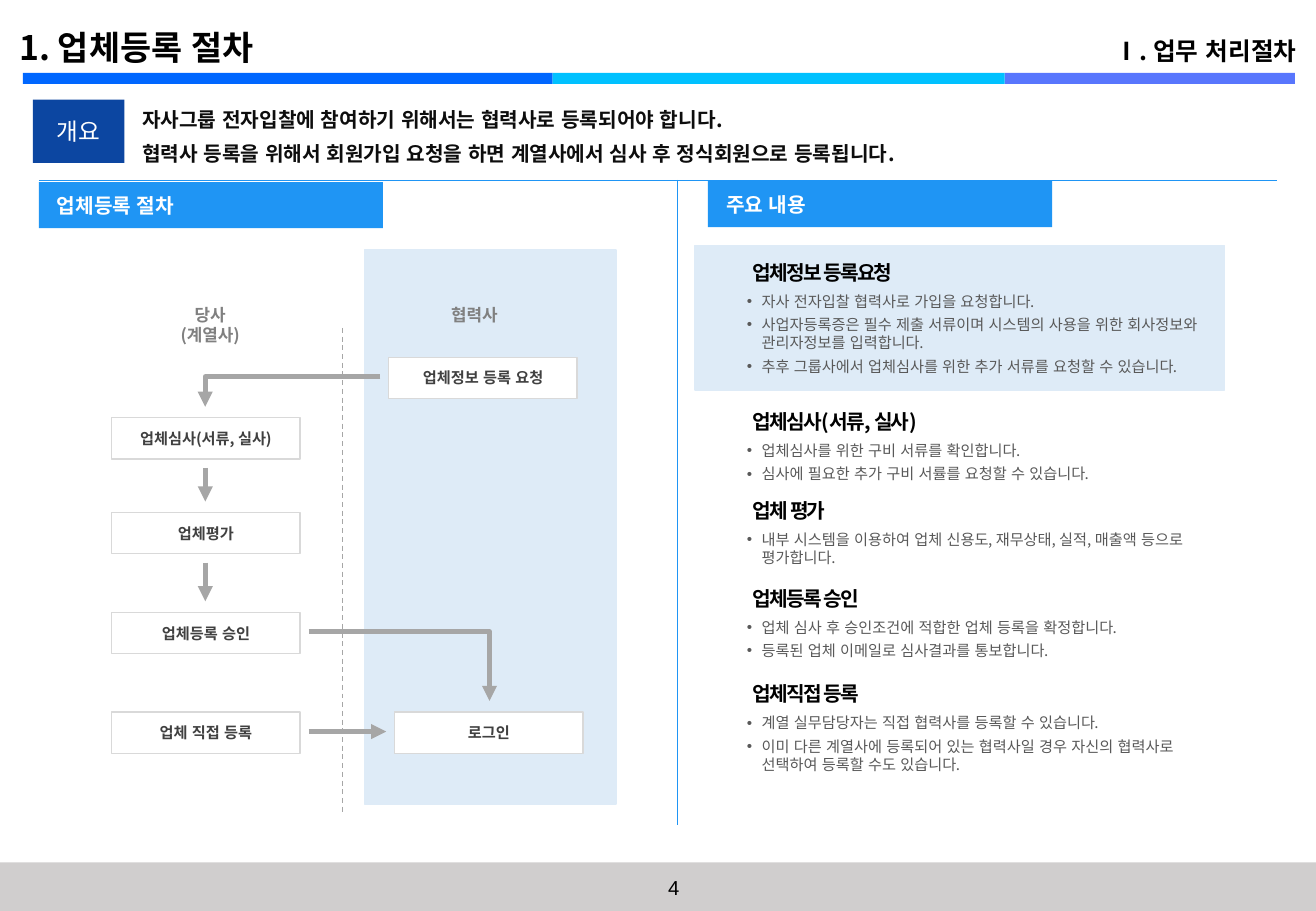
"""Build the supplier registration procedure slide."""
from lxml.etree import SubElement as Sub
from pptx import Presentation
from pptx.dml.color import RGBColor as RGB
from pptx.enum.dml import MSO_LINE
from pptx.enum.shapes import MSO_CONNECTOR as LINK, MSO_SHAPE
from pptx.enum.text import MSO_ANCHOR as ANC, MSO_AUTO_SIZE as AUTO, PP_ALIGN as AL
from pptx.oxml.ns import qn
from pptx.util import Inches, Pt

BLACK, WHITE = RGB(0, 0, 0), RGB(255, 255, 255)
INK, TEXT, BODY = RGB(0x0D, 0x0D, 0x0D), RGB(0x40, 0x40, 0x40), RGB(0x59, 0x59, 0x59)
LABEL, ARROW, EDGE = RGB(0x80, 0x80, 0x80), RGB(0xA6, 0xA6, 0xA6), RGB(0xD9, 0xD9, 0xD9)
FOOT, PANEL, NAVY = RGB(0xD0, 0xCE, 0xCE), RGB(0xDE, 0xEB, 0xF7), RGB(0x0C, 0x46, 0xA1)
TAB, RULE = RGB(0x1F, 0x95, 0xF4), RGB(0x1F, 0x95, 0xF5)
BLUE, CYAN, VIOLET = RGB(0, 0x67, 0xFF), RGB(0, 0xC1, 0xFF), RGB(0x58, 0x76, 0xFD)
SANS = "Noto Sans CJK KR"

deck = Presentation()
deck.slide_width, deck.slide_height = Inches(10.83), Inches(7.5)
COL, ROW = deck.slide_width / 100, deck.slide_height / 100
slide = deck.slides.add_slide(deck.slide_layouts[2])
shapes = slide.shapes


def box(x, y, w, h, fill=None, edge=None, wide=0.75):
    """Add a filled rectangle, or a text box when there is no fill."""
    spot = [int(v) for v in (x * COL, y * ROW, w * COL, h * ROW)]
    if fill is None:
        return shapes.add_textbox(*spot)
    shape = shapes.add_shape(MSO_SHAPE.RECTANGLE, *spot)
    shape.shadow.inherit = False
    shape.fill.solid()
    shape.fill.fore_color.rgb = fill
    if edge is None:
        shape.line.fill.background()
    else:
        shape.line.color.rgb = edge
        shape.line.width = Pt(wide)
    return shape


def write(shape, lines, size, color, bold=True, align=AL.LEFT, anchor=ANC.TOP,
          face=SANS, bullet=False, track=0):
    """Fill a shape with one run per paragraph and return its frame."""
    frame = shape.text_frame
    frame.word_wrap, frame.auto_size = True, AUTO.NONE
    frame.vertical_anchor = anchor
    for i, line in enumerate(lines):
        para = frame.add_paragraph() if i else frame.paragraphs[0]
        para.alignment = align
        para.space_before = Pt(3 if bullet and i else 0)
        if bullet:
            prop = para._p.get_or_add_pPr()
            prop.set("marL", str(Inches(0.19)))
            prop.set("indent", str(Inches(-0.12)))
            Sub(prop, qn("a:buFont"), typeface="Arial")
            Sub(prop, qn("a:buChar"), char="•")
        run = para.add_run()
        run.text = line
        font = run.font
        font.size, font.bold, font.name = Pt(size), bold, face
        font.color.rgb = color
        prop = run._r.get_or_add_rPr()
        prop.set("lang", "ko-KR")
        Sub(prop, qn("a:ea"), typeface=face)
        if track:
            prop.set("spc", str(track))
    return frame


for x, w, hue in ((1.75, 40.25, BLUE), (76.35, 22.05, VIOLET), (42, 34.35, CYAN)):
    box(x, 8, w, 1.2, hue)
box(0, 94.65, 100, 5.35, FOOT)
write(box(42.3, 95.45, 17.8, 4), ["4"], 12, BLACK, False, AL.CENTER, face="Arial")
box(52.8, 26.95, 40.25, 15.85, PANEL, PANEL, 1)
box(27.7, 27.45, 19.1, 60.8, PANEL, PANEL, 1)

heads = (
    (shapes.title, (0.55, 0, 67.95, 8), "1. 업체등록 절차", 20, AL.LEFT, ANC.MIDDLE, 1.5),
    (slide.placeholders[1], (74.05, 1.6, 25.4, 6.25), "Ⅰ. 업무 처리절차", 14.6,
     AL.RIGHT, ANC.BOTTOM, 0.9),
)
for hold, (x, y, w, h), line, size, align, anchor, lead in heads:
    hold.left, hold.top = int(x * COL), int(y * ROW)
    hold.width, hold.height = int(w * COL), int(h * ROW)
    frame = write(hold, [line], size, BLACK, True, align, anchor)
    frame.paragraphs[0].line_spacing = lead

write(box(2.5, 10.95, 6.95, 6.95, NAVY), ["개요"], 14, WHITE, False, AL.CENTER, ANC.MIDDLE)
intro = write(box(9.9, 10.1, 87.9, 8.8), [
    "자사그룹 전자입찰에 참여하기 위해서는 협력사로 등록되어야 합니다.",
    "협력사 등록을 위해서 회원가입 요청을 하면 계열사에서 심사 후 정식회원으로 등록됩니다.",
], 12, INK)
for para in intro.paragraphs:
    para.line_spacing = Pt(20)

for x, y, name in ((2.95, 20, "업체등록 절차"), (53.8, 19.9, "주요 내용")):
    frame = write(box(x, y, 26.15, 5.05, TAB), [name], 12, WHITE, anchor=ANC.MIDDLE)
    frame.paragraphs[0]._p.get_or_add_pPr().set("indent", str(Inches(0.05)))

for x, w, lines in ((11.55, 8.85, ["당사", "(계열사)"]), (31.95, 8.2, ["협력사"])):
    write(box(x, 32.8, w, 3.6), lines, 10, LABEL, align=AL.CENTER)

steps = (
    (29.55, 39.2, "업체정보 등록 요청"),
    (8.5, 45.85, "업체심사(서류, 실사)"),
    (8.5, 56.25, "업체평가"),
    (8.5, 67.2, "업체등록 승인"),
    (30, 78.15, "로그인"),
    (8.5, 78.15, "업체 직접 등록"),
)
for x, y, name in steps:
    frame = write(box(x, y, 14.3, 4.55, WHITE, EDGE), [name], 9, TEXT,
                  align=AL.CENTER, anchor=ANC.MIDDLE)
    frame.margin_left = frame.margin_right = frame.margin_top = frame.margin_bottom = 0

links = (
    (2.95, 19.85, 97.05, 19.85, RULE, "rule"),
    (51.5, 19.75, 51.5, 90.55, RULE, "rule"),
    (26.05, 36, 26.05, 89.35, ARROW, "dash"),
    (28.9, 41.35, 15.6, 44.65, ARROW, "bent"),
    (15.6, 51.35, 15.6, 55.05, ARROW, "arrow"),
    (15.6, 61.75, 15.6, 66, ARROW, "arrow"),
    (23.45, 69.35, 37.2, 76.95, ARROW, "bent"),
    (23.45, 80.3, 29.35, 80.3, ARROW, "arrow"),
)
for x, y, right, low, hue, kind in links:
    link = shapes.add_connector(LINK.ELBOW if kind == "bent" else LINK.STRAIGHT,
                                int(x * COL), int(y * ROW), int(right * COL), int(low * ROW))
    link.line.color.rgb = hue
    link.line.width = Pt(3 if kind in ("bent", "arrow") else 0.75)
    prop = link._element.spPr
    if kind == "dash":
        link.line.dash_style = MSO_LINE.DASH
    elif kind != "rule":
        Sub(prop.find(qn("a:ln")), qn("a:tailEnd"), type="triangle")
    if kind == "bent":
        prop.find(qn("a:prstGeom")).set("prst", "bentConnector2")
    Sub(prop, qn("a:effectLst"))

topics = (
    (28.4, 10.55, "업체정보 등록요청", [
        "자사 전자입찰 협력사로 가입을 요청합니다.",
        "사업자등록증은 필수 제출 서류이며 시스템의 사용을 위한 회사정보와 관리자정보를 입력합니다.",
        "추후 그룹사에서 업체심사를 위한 추가 서류를 요청할 수 있습니다."]),
    (44.8, 6, "업체심사(서류, 실사)", [
        "업체심사를 위한 구비 서류를 확인합니다.",
        "심사에 필요한 추가 구비 서률를 요청할 수 있습니다."]),
    (54.55, 5.35, "업체 평가", [
        "내부 시스템을 이용하여 업체 신용도, 재무상태, 실적, 매출액 등으로 평가합니다."]),
    (64.2, 6, "업체등록 승인", [
        "업체 심사 후 승인조건에 적합한 업체 등록을 확정합니다.",
        "등록된 업체 이메일로 심사결과를 통보합니다."]),
    (74.7, 8, "업체직접 등록", [
        "계열 실무담당자는 직접 협력사를 등록할 수 있습니다.",
        "이미 다른 계열사에 등록되어 있는 협력사일 경우 자신의 협력사로 선택하여 등록할 수도 있습니다."]),
)
for y, h, name, points in topics:
    frame = write(box(57.2, y, 17.2, 2.95), [name], 12, BLACK, track=-110)
    frame.margin_left = frame.margin_right = frame.margin_bottom = 0
    frame.margin_top = Inches(0.01)
    write(box(55.2, y + 3, 38.4, h), points, 9, BODY, False, bullet=True)

deck.save("out.pptx")
